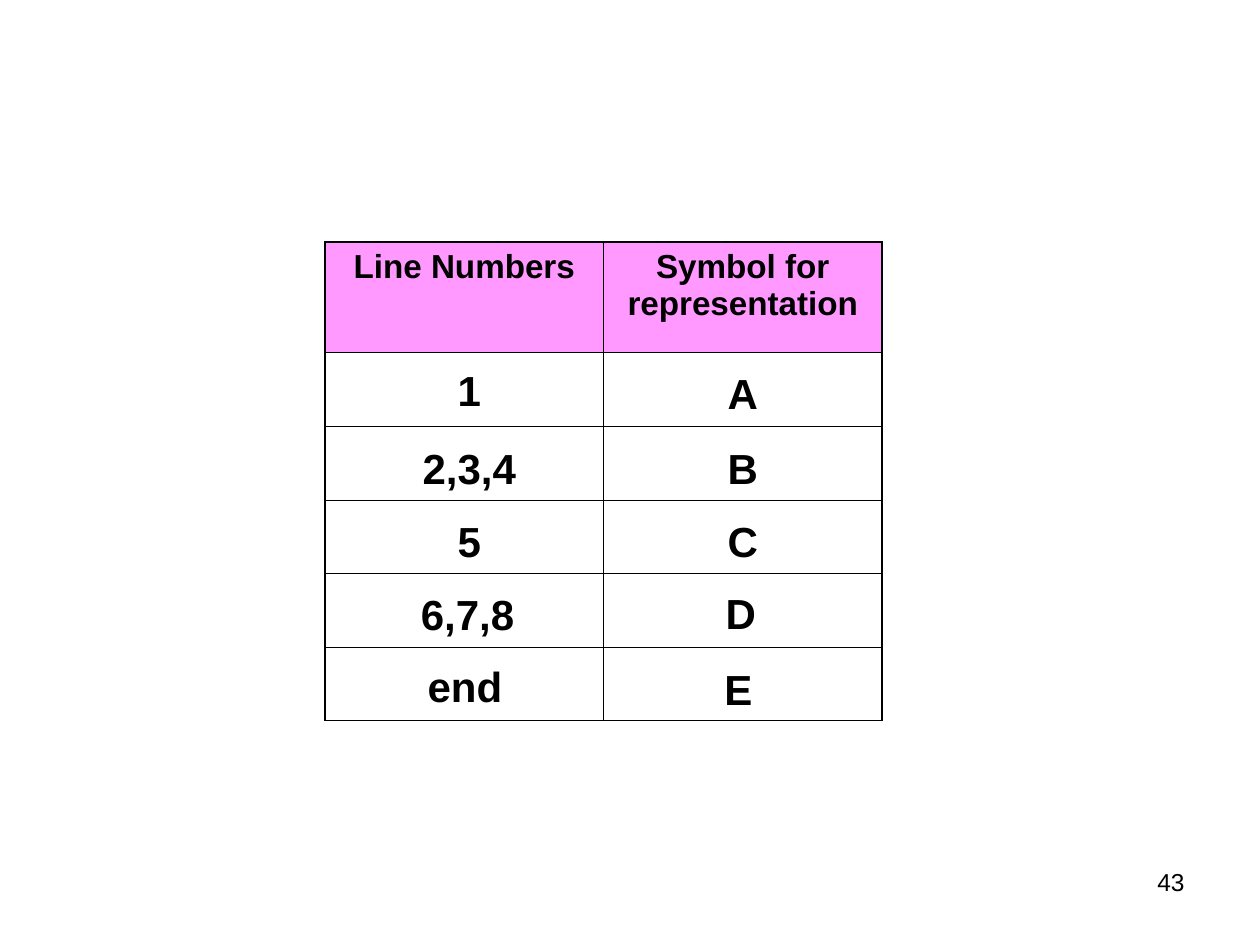
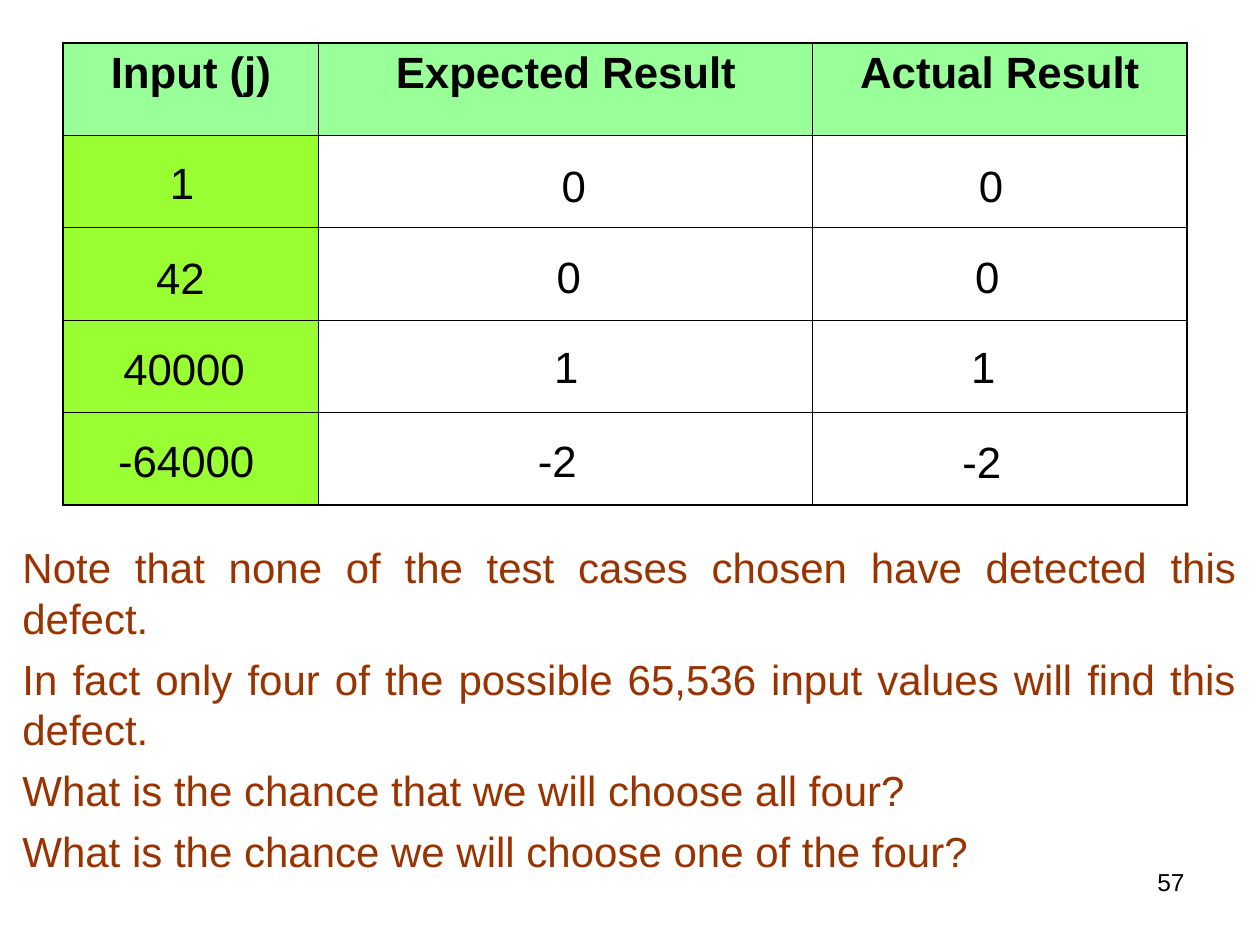
import pptx
import pptx.dml.color
import pptx.enum.text
import pptx.oxml
import pptx.oxml.ns
import pptx.util

Inches = pptx.util.Inches
Pt = pptx.util.Pt
color = pptx.dml.color.RGBColor.from_string
ALIGN = pptx.enum.text.PP_ALIGN

FONT = "Arial"
BLACK, BROWN = "000000", "993300"
PINK, MINT, LIME = "FF99FF", "99FF99", "99FF33"
OUTER_LINE, INNER_LINE = Pt(1.08), Pt(0.45)
BOX_MARGINS = (0.1, 0.05)


def write_text(frame, lines, size, align, bold=False, ink=BLACK, space=0):
    for index, line in enumerate(lines):
        paragraph = frame.add_paragraph() if index else frame.paragraphs[0]
        paragraph.alignment = align
        if index:
            paragraph.space_before = Pt(space)
        run = paragraph.add_run()
        run.text = line
        run.font.name = FONT
        run.font.size = Pt(size)
        run.font.bold = bold
        run.font.color.rgb = color(ink)


def add_grid(slide, left, top, widths, heights, headers, size, header_fill, side_fill=None):
    table = slide.shapes.add_table(
        len(heights), len(widths), Inches(left), Inches(top),
        Inches(sum(widths)), Inches(sum(heights))).table
    table.first_row = table.horz_banding = False
    for column, width in zip(table.columns, widths):
        column.width = Inches(width)
    for row, height in zip(table.rows, heights):
        row.height = Inches(height)
    last_row, last_column = len(heights) - 1, len(widths) - 1
    for r in range(len(heights)):
        for c in range(len(widths)):
            cell = table.cell(r, c)
            # Thick frame, thin inner rules
            outer_edges = {"lnL": c == 0, "lnR": c == last_column,
                           "lnT": r == 0, "lnB": r == last_row}
            for tag, is_outer in outer_edges.items():
                weight = OUTER_LINE if is_outer else INNER_LINE
                cell._tc.get_or_add_tcPr().append(pptx.oxml.parse_xml(
                    f'<a:{tag} {pptx.oxml.ns.nsdecls("a")} w="{weight}"><a:solidFill>'
                    f'<a:srgbClr val="{BLACK}"/></a:solidFill></a:{tag}>'))
            fill = header_fill if r == 0 else side_fill if c == 0 else None
            if fill:
                cell.fill.solid()
                cell.fill.fore_color.rgb = color(fill)
            else:
                cell.fill.background()
            if r == 0:
                write_text(cell.text_frame, [headers[c]], size, ALIGN.CENTER, bold=True)


presentation = pptx.Presentation()
presentation.slide_width = Inches(10)
presentation.slide_height = Inches(7.5)
blank = presentation.slide_layouts[6]
symbol_slide = presentation.slides.add_slide(blank)
result_slide = presentation.slides.add_slide(blank)

# Tables
add_grid(symbol_slide, 2.58, 1.92, [2.21] * 2, [0.88] + [2.92 / 5] * 5,
         ["Line Numbers", "Symbol for representation"], 19, PINK)
add_grid(result_slide, 0.5, 0.34, [2.03, 3.92, 2.97], [3.67 / 5] * 5,
         ["Input (j)", "Expected Result", "Actual Result"], 25, MINT, LIME)

# Table entries: text, left, top, width
symbol_entries = [
    ("1", 3.35, 2.89, 0.75), ("2,3,4", 3.35, 3.51, 0.75), ("5", 3.35, 4.09, 0.75),
    ("6,7,8", 2.75, 4.67, 1.92), ("end", 2.73, 5.24, 1.92),
    ("A", 5.52, 2.92, 0.75), ("B", 5.52, 3.51, 0.75), ("C", 5.52, 4.09, 0.75),
    ("D", 4.92, 4.66, 1.92), ("E", 4.9, 5.27, 1.92),
]
result_entries = [
    ("1", 1.25, 1.19, 0.42), ("42", 1.14, 1.94, 0.62),
    ("40000", 0.88, 2.66, 1.22), ("-64000", 0.84, 3.39, 1.34),
    ("0", 4.36, 1.21, 0.42), ("0", 4.32, 1.93, 0.42),
    ("1", 4.3, 2.65, 0.42), ("-2", 4.17, 3.39, 0.54),
    ("0", 7.67, 1.21, 0.42), ("0", 7.64, 1.93, 0.42),
    ("1", 7.61, 2.65, 0.42), ("-2", 7.54, 3.4, 0.54),
]
entry_styles = [
    (symbol_slide, symbol_entries, 0.4, (0, 0), True, 24, ALIGN.CENTER, True),
    (result_slide, result_entries, 0.52, BOX_MARGINS, False, 25, ALIGN.LEFT, False),
]
for slide, entries, height, margins, wrap, size, align, bold in entry_styles:
    for text, left, top, width in entries:
        frame = slide.shapes.add_textbox(
            Inches(left), Inches(top), Inches(width), Inches(height)).text_frame
        frame.margin_left = frame.margin_right = Inches(margins[0])
        frame.margin_top = frame.margin_bottom = Inches(margins[1])
        frame.word_wrap = wrap
        write_text(frame, [text], size, align, bold)

# Remarks below the results
remarks = result_slide.shapes.add_textbox(
    Inches(0.08), Inches(4.25), Inches(9.83), Inches(3.08)).text_frame
remarks.word_wrap = True
write_text(remarks, [
    "Note that none of the test cases chosen have detected this defect.",
    "In fact only four of the possible 65,536 input values will find this defect.",
    "What is the chance that we will choose all four?",
    "What is the chance we will choose one of the four?",
], 24, ALIGN.JUSTIFY, ink=BROWN, space=6)

# Page numbers
for slide, number in [(symbol_slide, "43"), (result_slide, "57")]:
    footer = slide.shapes.add_textbox(
        Inches(7.17), Inches(6.83), Inches(2.33), Inches(0.52)).text_frame
    footer.word_wrap = True
    write_text(footer, [number], 14, ALIGN.RIGHT)

presentation.save("out.pptx")
